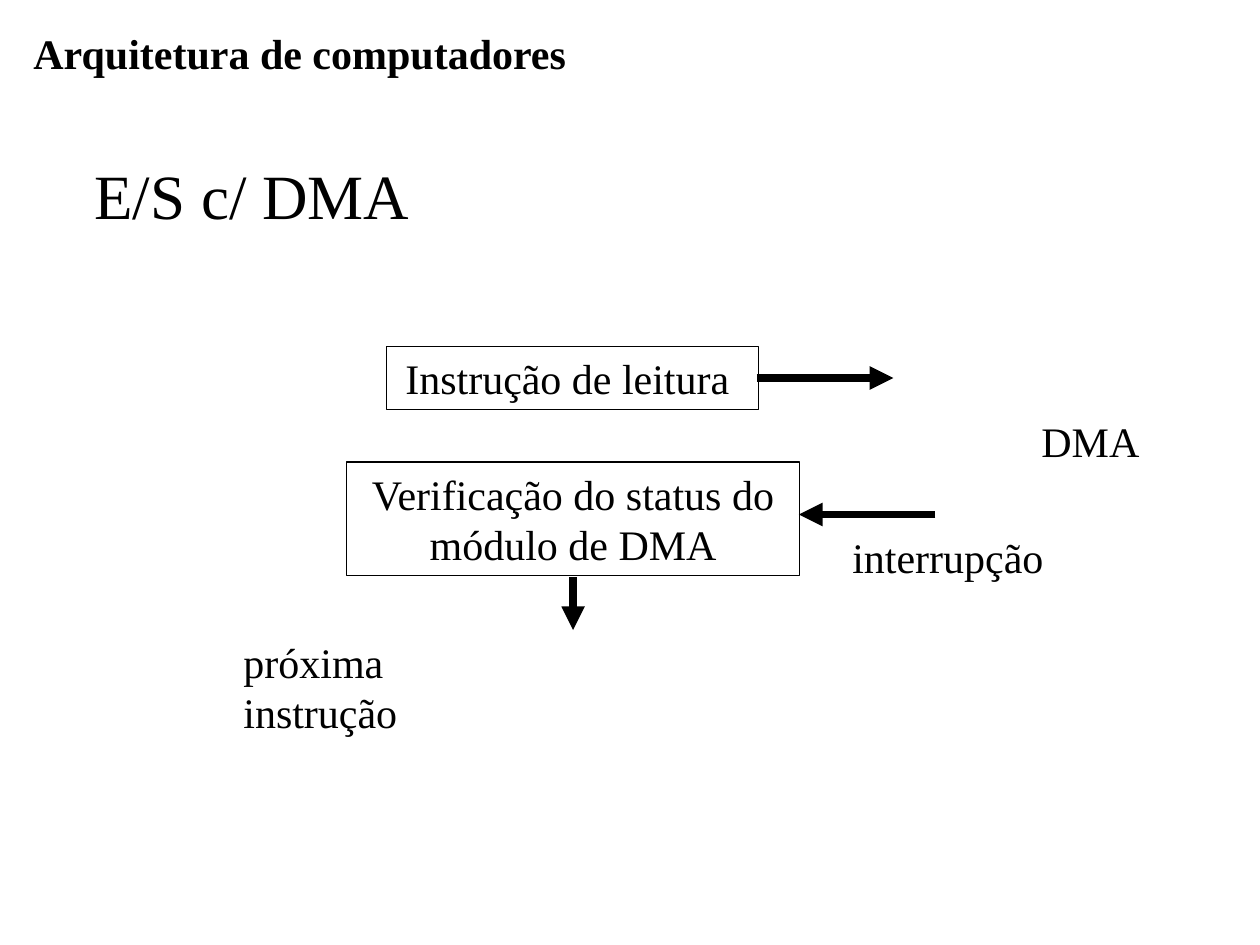
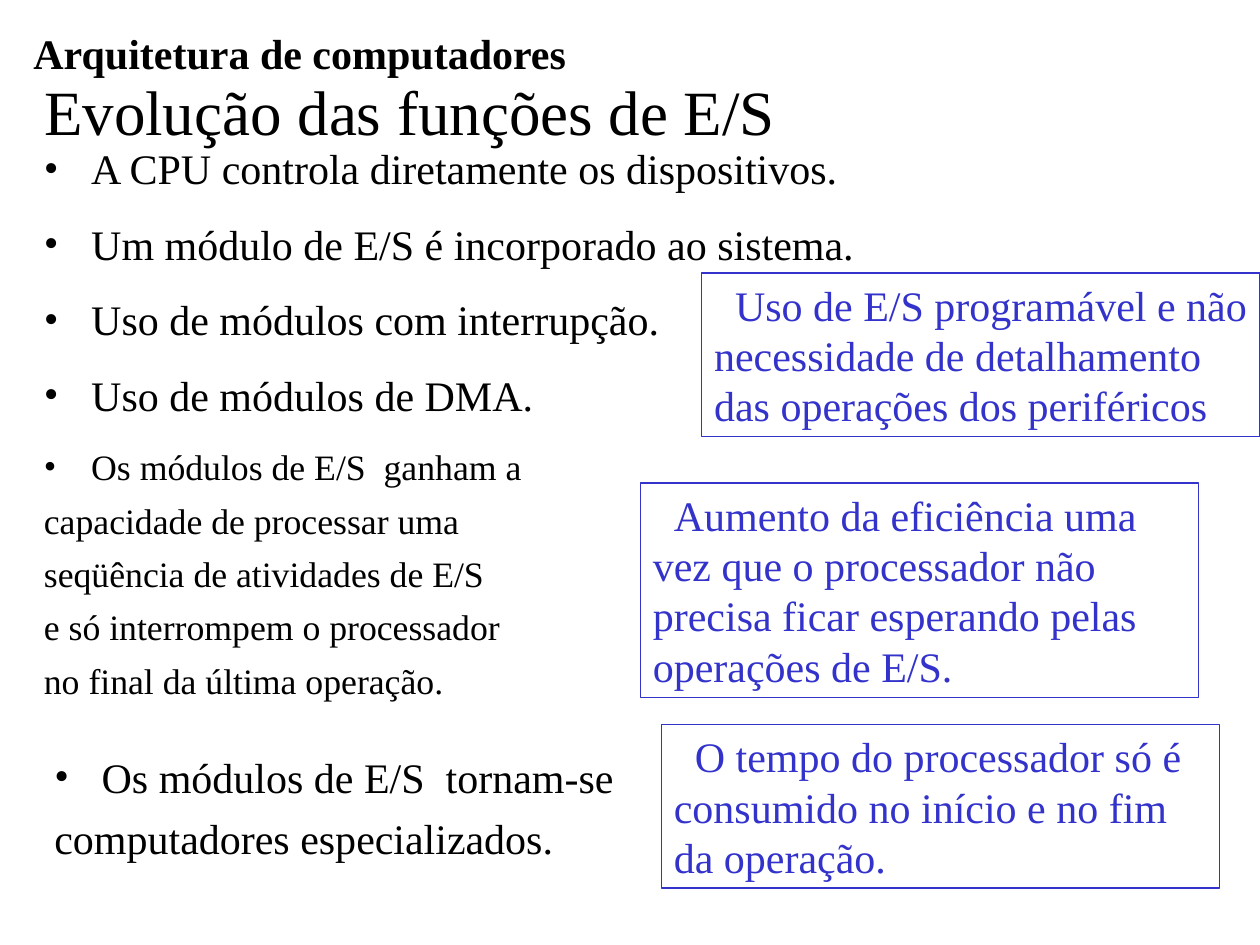
from lxml import etree
from pptx import Presentation
from pptx.dml import color
from pptx.enum import shapes, text
from pptx.oxml import ns
from pptx.util import Pt

FONT = "Times New Roman"
BLACK, WHITE, BLUE = "000000", "FFFFFF", "3333CC"
LEFT, CENTER = text.PP_ALIGN.LEFT, text.PP_ALIGN.CENTER
BULLET_INDENT = 27


def rgb(value):
    return color.RGBColor.from_string(value)


def write(box, lines, size=24, ink=BLACK, bold=False, align=LEFT,
          wrap=True, anchor=text.MSO_ANCHOR.TOP):
    """Fill a box with one paragraph per line and return the paragraphs."""
    frame = box.text_frame
    frame.word_wrap = wrap
    frame.auto_size = text.MSO_AUTO_SIZE.NONE if wrap else text.MSO_AUTO_SIZE.SHAPE_TO_FIT_TEXT
    frame.vertical_anchor = anchor
    for number, line in enumerate(lines):
        para = frame.add_paragraph() if number else frame.paragraphs[0]
        para.alignment = align
        span = para.add_run()
        span.text = line
        span.font.name, span.font.size, span.font.bold = FONT, Pt(size), bold
        span.font.color.rgb = rgb(ink)
    return frame.paragraphs


deck = Presentation()
deck.slide_width, deck.slide_height = Pt(720), Pt(540)

# Both pages: title and course header
titles = [
    ("E/S c/ DMA", (0, 78, 288, 66), CENTER),
    ("Evolução das funções de E/S", (18, 36, 438, 54), LEFT),
]
pages = []
for title_text, place, align in titles:
    page = deck.slides.add_slide(deck.slide_layouts[5])
    title = page.shapes.title
    title.left, title.top, title.width, title.height = map(Pt, place)
    write(title, [title_text], size=36, align=align, anchor=text.MSO_ANCHOR.MIDDLE)
    header = page.shapes.add_textbox(Pt(12), Pt(12), Pt(320), Pt(36))
    write(header, ["Arquitetura de computadores"], bold=True, wrap=False)
    pages.append(page)
dma_page, evolution_page = pages

# DMA page: boxed steps
steps = [
    ("Instrução de leitura ", (221, 198, 212.5, 36)),
    ("Verificação do status do módulo de DMA", (198, 264, 259, 65)),
]
for step, place in steps:
    box = dma_page.shapes.add_shape(shapes.MSO_SHAPE.RECTANGLE, *map(Pt, place))
    box.shadow.inherit = False
    box.fill.background()
    box.line.color.rgb, box.line.width = rgb(BLACK), Pt(0.75)
    write(box, [step], align=CENTER)

# DMA page: arrows, each from its tail to its point
for ends in [(432.5, 216, 510.5, 216), (327.5, 330, 327.5, 360), (534.5, 294, 456.5, 294)]:
    arrow = dma_page.shapes.add_connector(shapes.MSO_CONNECTOR.STRAIGHT, *map(Pt, ends))
    arrow.line.color.rgb, arrow.line.width = rgb(BLACK), Pt(4.5)
    etree.SubElement(arrow.line._get_or_add_ln(), ns.qn("a:tailEnd"), type="triangle")
    etree.SubElement(arrow._element.spPr, ns.qn("a:effectLst"))

# DMA page: free labels
labels = [
    ("interrupção", 480, 300, 124),
    ("próxima instrução", 132, 360, 188),
    ("DMA", 588, 234, 70.5),
]
for label, left, top, width in labels:
    box = dma_page.shapes.add_textbox(Pt(left), Pt(top), Pt(width), Pt(36))
    write(box, [label], wrap=False)

# Evolution page: bulleted stages, the first five evenly spaced
first_top, stage_step = 78, 43.2
stages = [
    (["A CPU controla diretamente os dispositivos."], 24, 48),
    (["Um módulo de E/S é incorporado ao sistema."], 24, 48),
    (["Uso de módulos com interrupção."], 24, 48),
    (["Uso de módulos de DMA."], 24, 48),
    (["Os módulos de E/S  ganham a", "capacidade de processar uma",
      "seqüência de atividades de E/S", "e só interrompem o processador",
      "no final da última operação."], 20.4, 150),
    (["Os módulos de E/S  tornam-se", "computadores especializados."], 24, 96),
]
for number, (lines, size, height) in enumerate(stages):
    last = number == len(stages) - 1
    left, top, width = (24, 426, 648) if last else (18, first_top + number * stage_step, 672)
    box = evolution_page.shapes.add_textbox(Pt(left), Pt(top), Pt(width), Pt(height))
    paras = write(box, lines, size=size)
    for para in paras:
        para.space_before = Pt(6)
        props = para._p.get_or_add_pPr()
        props.set("marL", str(Pt(BULLET_INDENT)))
        props.set("indent", str(-Pt(BULLET_INDENT)))
    etree.SubElement(paras[0]._p.pPr, ns.qn("a:buFont"), typeface=FONT)
    etree.SubElement(paras[0]._p.pPr, ns.qn("a:buChar"), char="•")

# Evolution page: blue remarks
remarks = [
    ("Aumento da eficiência uma vez que o processador não precisa ficar "
     "esperando pelas operações de E/S.", 366, 276, 122.5),
    ("Uso de E/S programável e não necessidade de detalhamento das operações "
     "dos periféricos", 401, 156, 93.5),
    ("O tempo do processador só é consumido no início e no fim da operação.",
     378, 414, 93.5),
]
for remark, left, top, height in remarks:
    box = evolution_page.shapes.add_shape(
        shapes.MSO_SHAPE.RECTANGLE, Pt(left), Pt(top), Pt(319), Pt(height))
    box.shadow.inherit = False
    box.fill.solid()
    box.fill.fore_color.rgb = rgb(WHITE)
    box.line.color.rgb, box.line.width = rgb(BLUE), Pt(0.75)
    para = write(box, [remark], ink=BLUE)[0]
    para._p.get_or_add_pPr().set("indent", str(Pt(12)))

deck.save("out.pptx")
